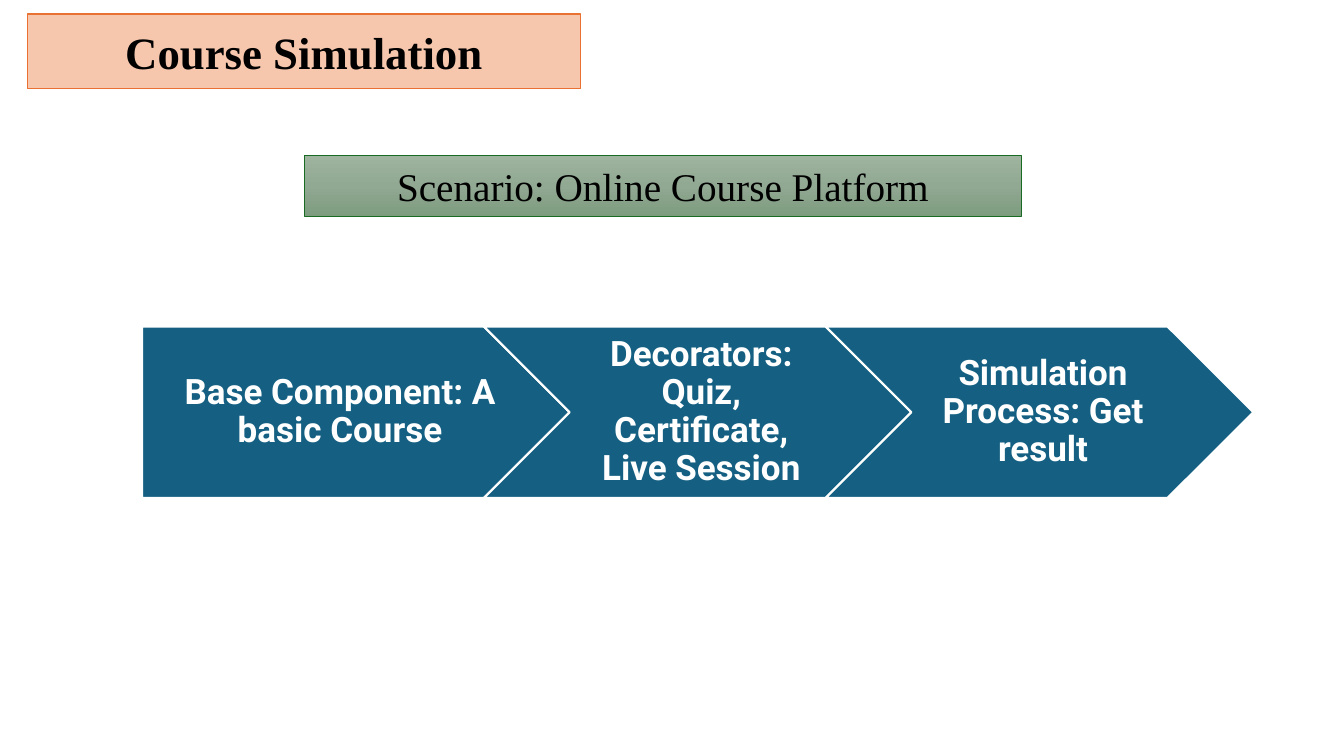
from copy import deepcopy
from dataclasses import dataclass

from pptx import Presentation
from pptx.dml.color import RGBColor
from pptx.enum.shapes import MSO_SHAPE
from pptx.enum.text import MSO_ANCHOR, PP_ALIGN
from pptx.oxml.ns import qn
from pptx.util import Inches, Pt


@dataclass
class Theme:
    peach: str = "F6C6AD"
    orange: str = "E97132"
    green: str = "196B24"
    fade: tuple = ((0, "9EB49F"), (50, "91A892"), (100, "7D9C7E"))
    blue: str = "156082"
    white: str = "FFFFFF"
    black: str = "000000"
    serif: str = "Times New Roman"
    sans: str = "Roboto"
    title: int = 32
    topic: int = 28
    step: int = 25


theme = Theme()


def add_box(kind, box, fill, line, width):
    shape = slide.shapes.add_shape(kind, *map(Inches, box))
    shape.shadow.inherit = False
    if fill:
        shape.fill.solid()
        shape.fill.fore_color.rgb = RGBColor.from_string(fill)
    shape.line.color.rgb = RGBColor.from_string(line)
    shape.line.width = Pt(width)
    return shape


def write(shape, text, font, size, color, bold=False):
    frame = shape.text_frame
    frame.word_wrap = True
    frame.vertical_anchor = MSO_ANCHOR.MIDDLE
    para = frame.paragraphs[0]
    para.alignment = PP_ALIGN.CENTER
    run = para.add_run()
    run.text = text
    run.font.name = font
    run.font.size = Pt(size)
    run.font.bold = bold
    run.font.color.rgb = RGBColor.from_string(color)
    return frame


deck = Presentation()
deck.slide_width, deck.slide_height = Inches(13.33), Inches(7.5)
slide = deck.slides.add_slide(deck.slide_layouts[6])

# Title
title = add_box(MSO_SHAPE.RECTANGLE, (0.27, 0.14, 5.49, 0.74),
                theme.peach, theme.orange, 1)
write(title, "Course Simulation", theme.serif, theme.title, theme.black, True)

# Scenario banner with a three-stop fade from top to bottom
topic = add_box(MSO_SHAPE.RECTANGLE, (3.02, 1.54, 7.11, 0.61),
                None, theme.green, 1)
topic.fill.gradient()
topic.fill.gradient_angle = 270
stops = topic._element.spPr.find(qn("a:gradFill")).find(qn("a:gsLst"))
stops.insert(1, deepcopy(stops[0]))
for stop, (place, color) in zip(topic.fill.gradient_stops, theme.fade):
    stop.position = place / 100
    stop.color.rgb = RGBColor.from_string(color)
write(topic, "Scenario: Online Course Platform",
      theme.serif, theme.topic, theme.black)

# Process arrows: each step starts one pitch after the last
left, top, wide, high, pitch = 1.41, 3.24, 4.24, 1.7, 3.39
tip = high / 2
steps = (
    "Base Component: A basic Course",
    "Decorators: Quiz, Certificate, Live Session",
    "Simulation Process: Get result",
)
for i, text in enumerate(steps):
    first = i == 0
    x = left + i * pitch
    kind = MSO_SHAPE.PENTAGON if first else MSO_SHAPE.CHEVRON
    add_box(kind, (x, top, wide, high), theme.blue, theme.white, 1.5)

    # Label, kept clear of the notch and the tip
    start, span = (x, wide - tip / 2) if first else (x + tip, wide - 2 * tip)
    label = slide.shapes.add_textbox(*map(Inches, (start, top, span, high)))
    frame = write(label, text, theme.sans, theme.step, theme.white, True)
    frame.margin_left = Inches(0.15 if first else 0.11)
    frame.margin_right = Inches(0.04)
    frame.margin_top = frame.margin_bottom = Inches(0.07)
    frame.paragraphs[0].line_spacing = 0.9

deck.save("out.pptx")
